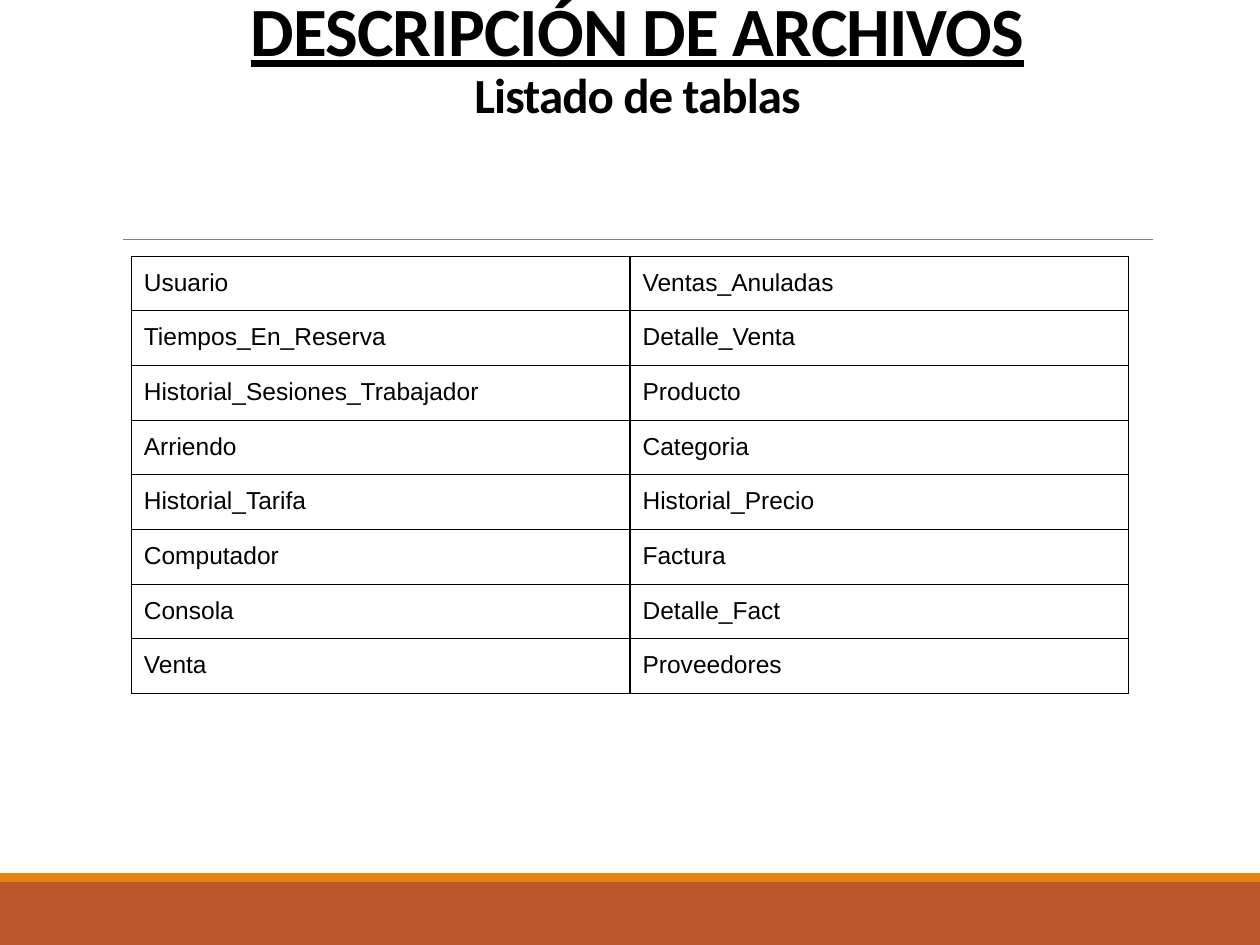
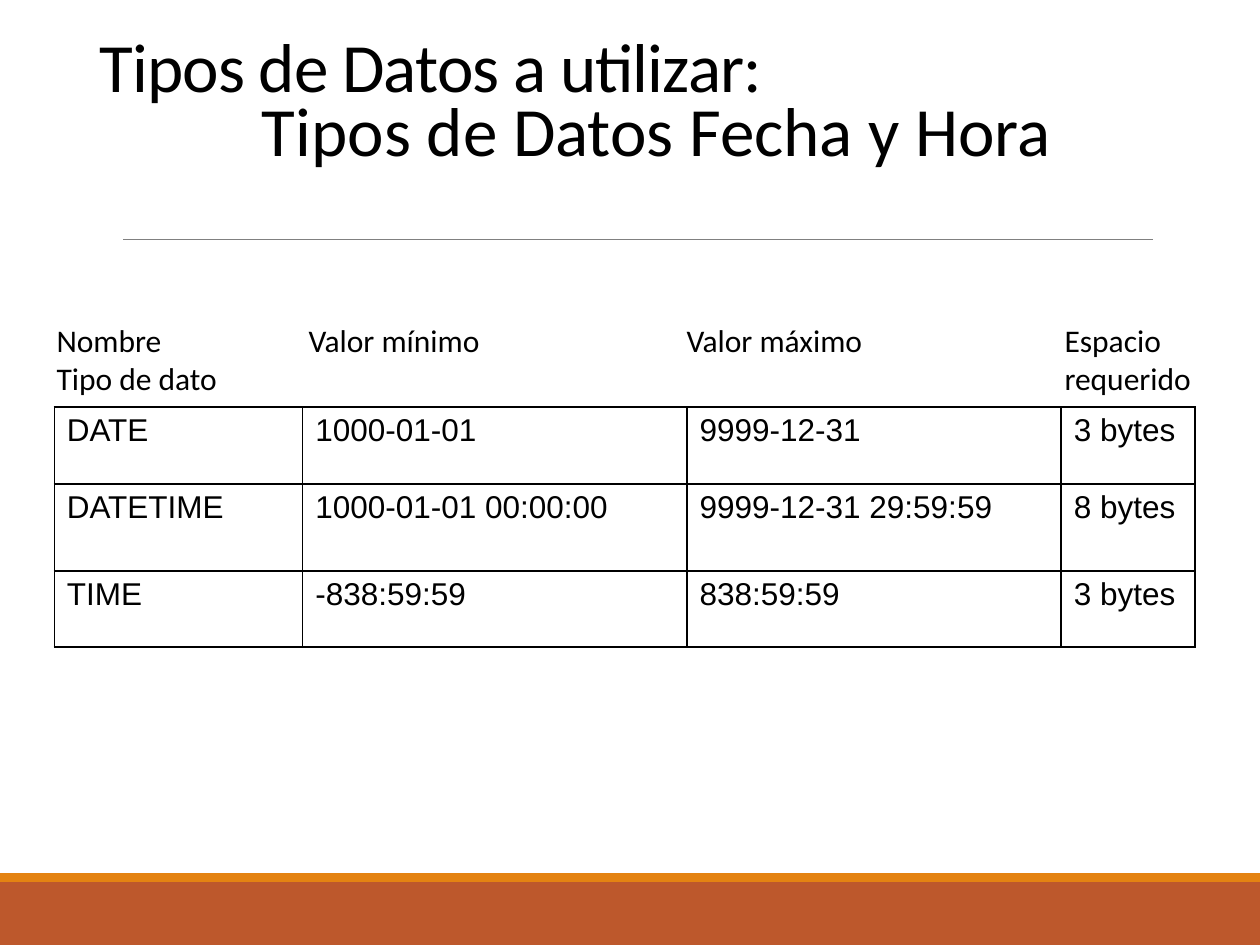
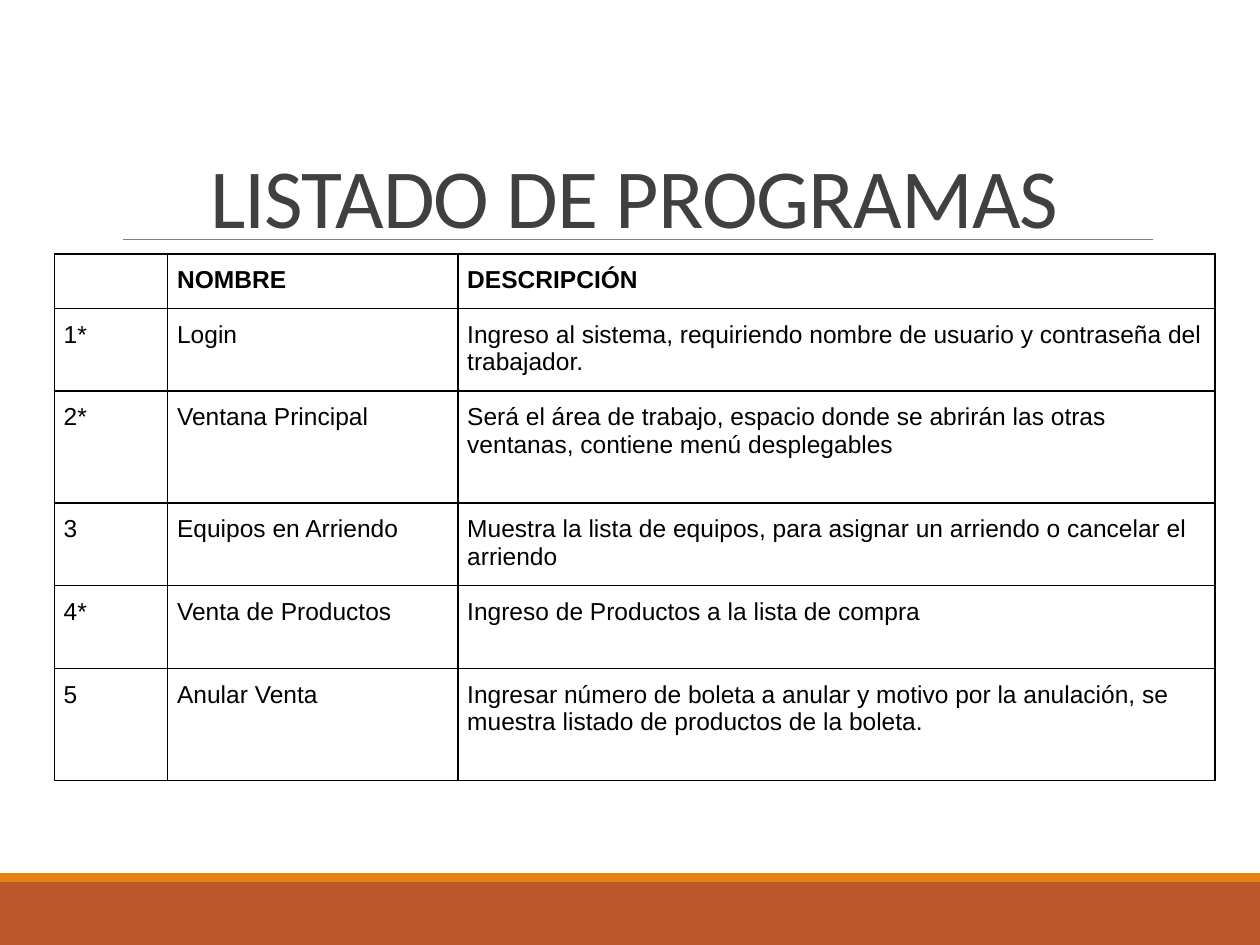
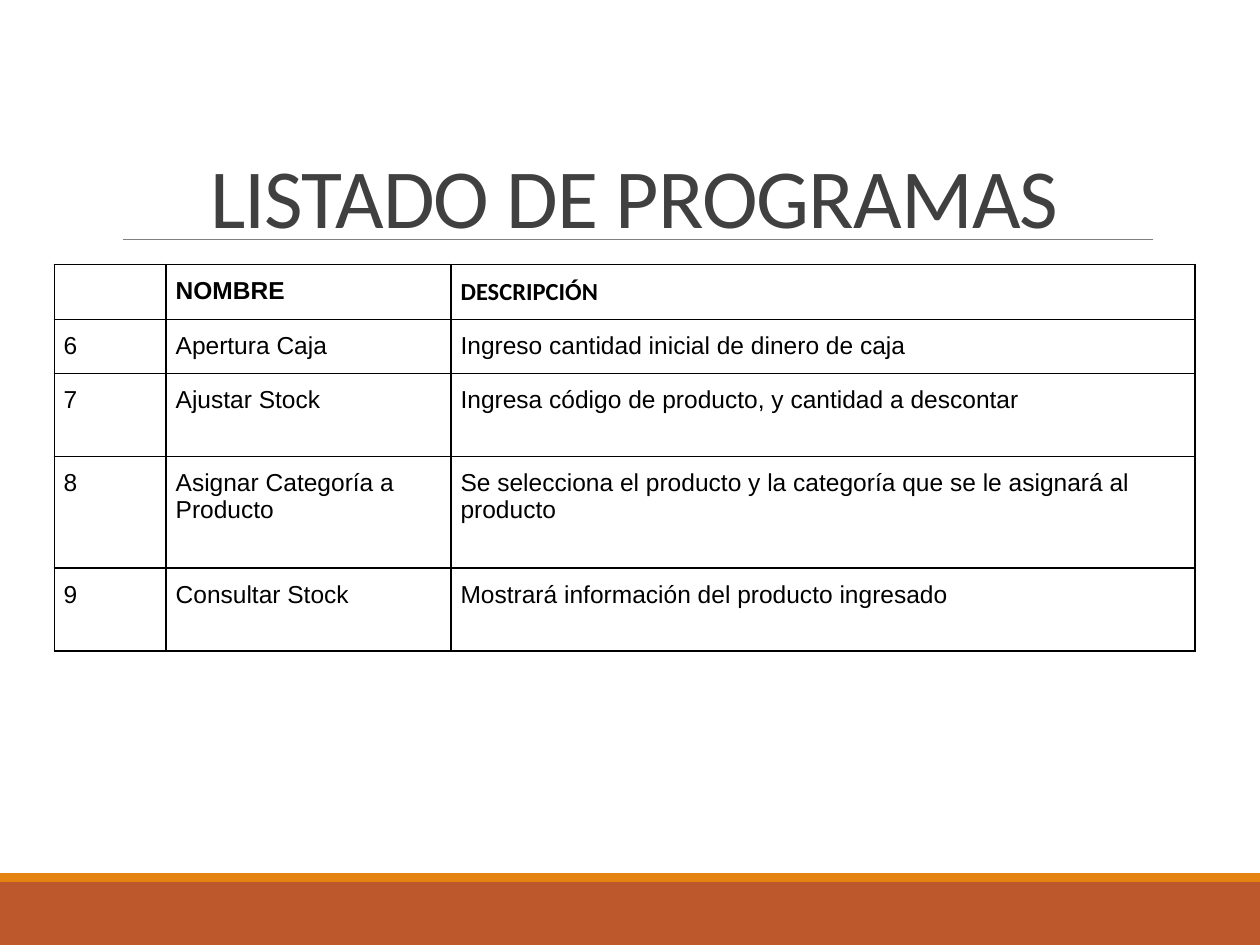
import collections

import lxml.etree
import pptx
import pptx.dml.color
import pptx.enum.shapes
import pptx.enum.text
import pptx.oxml.ns
import pptx.util

Pt = pptx.util.Pt
qn = pptx.oxml.ns.qn
RGBColor = pptx.dml.color.RGBColor
Align = pptx.enum.text.PP_ALIGN
Anchor = pptx.enum.text.MSO_ANCHOR
Box = collections.namedtuple("Box", "left top width height")

BLACK = RGBColor(0x00, 0x00, 0x00)
TITLE_GRAY = RGBColor(0x40, 0x40, 0x40)
RULE_GRAY = RGBColor(0x80, 0x80, 0x80)
BAND_RUST = RGBColor(0xBD, 0x58, 0x2C)
BAND_ORANGE = RGBColor(0xE4, 0x83, 0x12)
HEADING_FONT = "Calibri"
TABLE_FONT = "Arial"
TITLE_SIZE = 39.5
TITLE_SPACING = -0.5

SLIDE_BOX = Box(0, 0, 720, 540)
FOOTER_HEIGHT = 36
STRIPE_HEIGHT = 5

TABLE_NAMES = [
    ("Usuario", "Ventas_Anuladas"),
    ("Tiempos_En_Reserva", "Detalle_Venta"),
    ("Historial_Sesiones_Trabajador", "Producto"),
    ("Arriendo", "Categoria"),
    ("Historial_Tarifa", "Historial_Precio"),
    ("Computador", "Factura"),
    ("Consola", "Detalle_Fact"),
    ("Venta", "Proveedores"),
]
DATE_TYPES = [
    ("DATE", "1000-01-01", "9999-12-31", "3 bytes"),
    ("DATETIME", "1000-01-01 00:00:00", "9999-12-31 29:59:59", "8 bytes"),
    ("TIME", "-838:59:59", "838:59:59", "3 bytes"),
]
PROGRAM_HEADER = ("", "NOMBRE", "DESCRIPCIÓN")
FIRST_PROGRAMS = [
    PROGRAM_HEADER,
    ("1*", "Login", "Ingreso al sistema, requiriendo nombre de usuario y contraseña del trabajador."),
    ("2*", "Ventana Principal", "Será el área de trabajo, espacio donde se abrirán las otras ventanas, "
     "contiene menú desplegables"),
    ("3", "Equipos en Arriendo", "Muestra la lista de equipos, para asignar un arriendo o cancelar el arriendo"),
    ("4*", "Venta de Productos", "Ingreso de Productos a la lista de compra"),
    ("5", "Anular Venta", "Ingresar número de boleta a anular y motivo por la anulación, "
     "se muestra listado de productos de la boleta."),
]
MORE_PROGRAMS = [
    PROGRAM_HEADER,
    ("6", "Apertura Caja", "Ingreso cantidad inicial de dinero de caja"),
    ("7", "Ajustar Stock", "Ingresa código de producto, y cantidad a descontar"),
    ("8", "Asignar Categoría a Producto", "Se selecciona el producto y la categoría que se le asignará al producto"),
    ("9", "Consultar Stock", "Mostrará información del producto ingresado"),
]


def points(*lengths):
    """Convert numbers to lengths in points."""
    return [Pt(length) for length in lengths]


def write_text(paragraph, text, *, size, font=HEADING_FONT, color=BLACK, bold=False, underline=False,
               spacing=0, alignment=None, line_spacing=None):
    """Add one formatted run to a paragraph."""
    if alignment is not None:
        paragraph.alignment = alignment
    if line_spacing is not None:
        paragraph.line_spacing = line_spacing
    run = paragraph.add_run()
    run.text = text
    run.font.size = Pt(size)
    run.font.name = font
    run.font.color.rgb = color
    run.font.bold = bold
    run.font.underline = underline
    if spacing:
        run._r.get_or_add_rPr().set("spc", str(round(spacing * 100)))


def add_text_frame(slide, box, anchor=Anchor.MIDDLE, margins=(7.2, 3.6)):
    """Add a wrapping text box and return its text frame."""
    frame = slide.shapes.add_textbox(*points(*box)).text_frame
    frame.word_wrap = True
    frame.vertical_anchor = anchor
    frame.margin_left = frame.margin_right = Pt(margins[0])
    frame.margin_top = frame.margin_bottom = Pt(margins[1])
    return frame


def add_band(slide, box, color):
    """Add a plain filled rectangle."""
    band = slide.shapes.add_shape(pptx.enum.shapes.MSO_SHAPE.RECTANGLE, *points(*box))
    band.shadow.inherit = False
    band.fill.solid()
    band.fill.fore_color.rgb = color
    band.line.fill.background()


def add_base_slide(presentation, box=SLIDE_BOX):
    """Add a blank slide with the footer bands and the title rule."""
    slide = presentation.slides.add_slide(presentation.slide_layouts[6])
    footer_top = box.top + box.height - FOOTER_HEIGHT
    add_band(slide, Box(box.left, footer_top, box.width, FOOTER_HEIGHT), BAND_RUST)
    add_band(slide, Box(box.left, footer_top - STRIPE_HEIGHT, box.width, STRIPE_HEIGHT), BAND_ORANGE)
    rule_top = box.top + 136.8
    rule = slide.shapes.add_connector(
        pptx.enum.shapes.MSO_CONNECTOR.STRAIGHT,
        *points(box.left + 70.5, rule_top, box.left + 658.8, rule_top))
    rule.line.color.rgb = RULE_GRAY
    rule.line.width = Pt(0.5)
    lxml.etree.SubElement(rule._element.spPr, qn("a:effectLst"))
    return slide


def set_borders(cell, width):
    """Draw a black line on all four sides of a cell."""
    properties = cell._tc.get_or_add_tcPr()
    for side in ("lnL", "lnR", "lnT", "lnB"):
        line = lxml.etree.SubElement(properties, qn(f"a:{side}"), w=str(int(Pt(width))))
        fill = lxml.etree.SubElement(line, qn("a:solidFill"))
        lxml.etree.SubElement(fill, qn("a:srgbClr"), val=str(BLACK))


def add_grid(slide, left, top, rows, widths, heights, *, size=14, margins=(7.2, 7.2), border=1,
             has_header=False, header_fonts=None):
    """Add an unfilled, bordered table."""
    table = slide.shapes.add_table(
        len(rows), len(widths), *points(left, top, sum(widths), sum(heights))).table
    table.first_row = table.horz_banding = False
    for column, width in zip(table.columns, widths):
        column.width = Pt(width)
    for row_index, values in enumerate(rows):
        table.rows[row_index].height = Pt(heights[row_index])
        is_header = has_header and row_index == 0
        for column_index, value in enumerate(values):
            cell = table.cell(row_index, column_index)
            set_borders(cell, border)
            cell.fill.background()
            if not value:
                continue
            cell.margin_left = cell.margin_right = Pt(margins[0])
            cell.margin_top = cell.margin_bottom = Pt(margins[1])
            font = header_fonts[column_index] if is_header and header_fonts else TABLE_FONT
            write_text(cell.text_frame.paragraphs[0], value, size=size, font=font, bold=is_header)


def add_column_labels(slide, box):
    """Add the two-line column labels, aligned by tab stops."""
    frame = add_text_frame(slide, box, anchor=Anchor.TOP)
    lines = [
        ("Nombre\tValor mínimo\tValor máximo\tEspacio", (144, 360, 576)),
        ("Tipo de dato\trequerido", (576,)),
    ]
    for index, (text, stops) in enumerate(lines):
        paragraph = frame.add_paragraph() if index else frame.paragraphs[0]
        write_text(paragraph, text, size=18)
        tab_list = lxml.etree.SubElement(paragraph._p.get_or_add_pPr(), qn("a:tabLst"))
        for stop in stops:
            lxml.etree.SubElement(tab_list, qn("a:tab"), pos=str(int(Pt(stop))), algn="l")


def build_table_list(presentation, box=SLIDE_BOX):
    """Build the slide that lists the database tables."""
    slide = add_base_slide(presentation, box)
    title = add_text_frame(slide, Box(box.left + 54, box.top, 620.6, 69.1)).paragraphs[0]
    write_text(title, "DESCRIPCIÓN DE ARCHIVOS", size=TITLE_SIZE, bold=True, underline=True,
               spacing=TITLE_SPACING, alignment=Align.CENTER, line_spacing=0.9)
    title.add_line_break()
    write_text(title, "Listado de tablas", size=28, bold=True, spacing=TITLE_SPACING)
    add_grid(slide, box.left + 75, box.top + 146.4, TABLE_NAMES, [285] * 2,
             [30.1] * len(TABLE_NAMES), border=0.75)


def build_date_types(presentation, box=SLIDE_BOX):
    """Build the slide on date and time types."""
    slide = add_base_slide(presentation, box)
    titles = [
        ("Tipos de Datos a utilizar:", 49.7, 15.1, 0.9, TITLE_SPACING),
        ("Tipos de Datos Fecha y Hora", 142.6, 53.3, 0.8, 0),
    ]
    for text, left, top, line_spacing, spacing in titles:
        frame = add_text_frame(slide, Box(box.left + left, box.top + top, 620.6, 49.7))
        write_text(frame.paragraphs[0], text, size=TITLE_SIZE, spacing=spacing, line_spacing=line_spacing)
    add_grid(slide, box.left + 31, box.top + 232.6, DATE_TYPES, [142, 219.6, 213.8, 76.4],
             [44, 49.7, 43.4], size=18, margins=(7.2, 3.6))
    add_column_labels(slide, Box(box.left + 25.2, box.top + 180, 680.4, 72.7))


def build_programs(presentation, rows, top, widths, heights, header_fonts=None, box=SLIDE_BOX):
    """Build a slide that lists programs."""
    slide = add_base_slide(presentation, box)
    add_grid(slide, box.left + 31, box.top + top, rows, widths, heights, margins=(5.4, 7.2),
             has_header=True, header_fonts=header_fonts)
    frame = add_text_frame(slide, Box(box.left + 65.5, box.top + 25.9, 594, 114.5),
                           anchor=Anchor.BOTTOM, margins=(0, 0))
    write_text(frame.paragraphs[0], "LISTADO DE PROGRAMAS", size=48, color=TITLE_GRAY,
               spacing=TITLE_SPACING, alignment=Align.CENTER, line_spacing=0.85)


def main():
    """Build and save the presentation."""
    presentation = pptx.Presentation()
    presentation.slide_width = Pt(SLIDE_BOX.width)
    presentation.slide_height = Pt(SLIDE_BOX.height)
    build_table_list(presentation)
    build_date_types(presentation)
    build_programs(presentation, FIRST_PROGRAMS, 145.2, [64.8, 165.8, 432.6],
                   [31, 47.3, 64, 47.3, 47.3, 64])
    build_programs(presentation, MORE_PROGRAMS, 151, [64, 162.8, 425],
                   [31.2, 31, 47.3, 64, 47.3], header_fonts=(TABLE_FONT, TABLE_FONT, HEADING_FONT))
    presentation.save("out.pptx")


if __name__ == "__main__":
    main()
